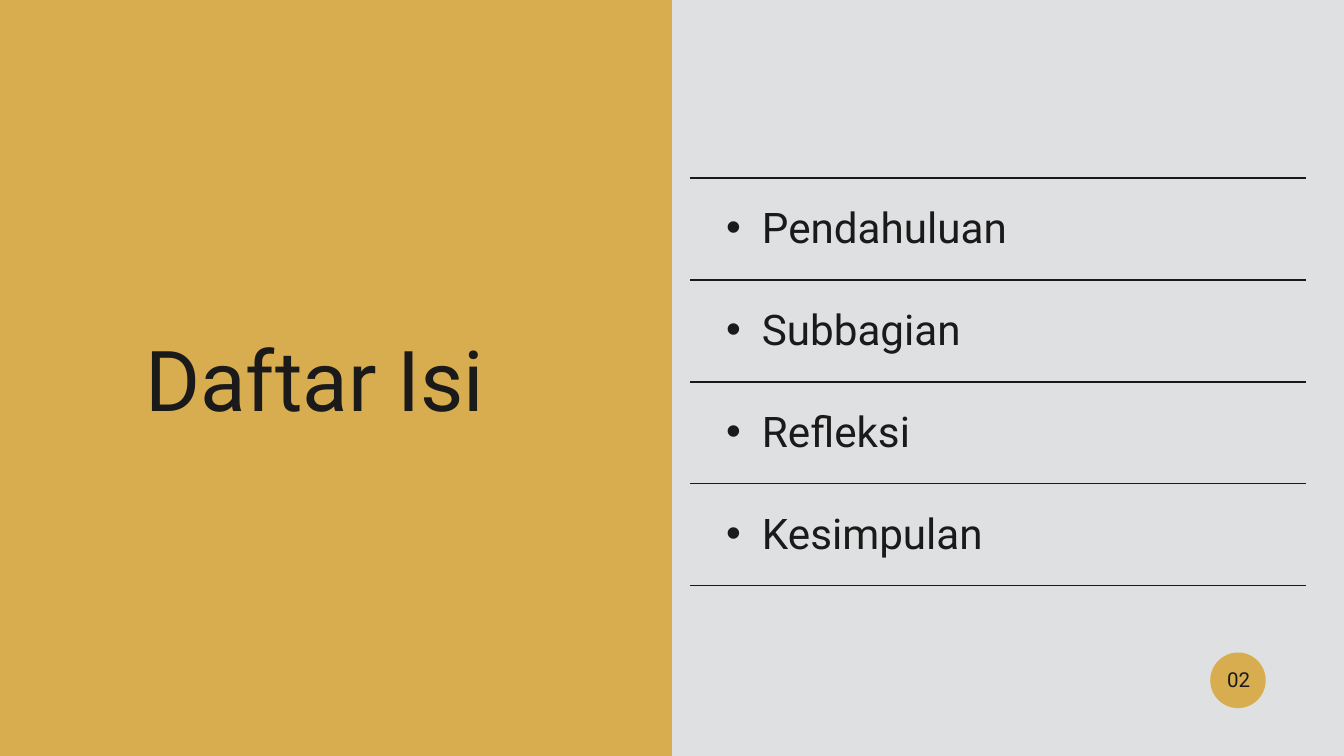
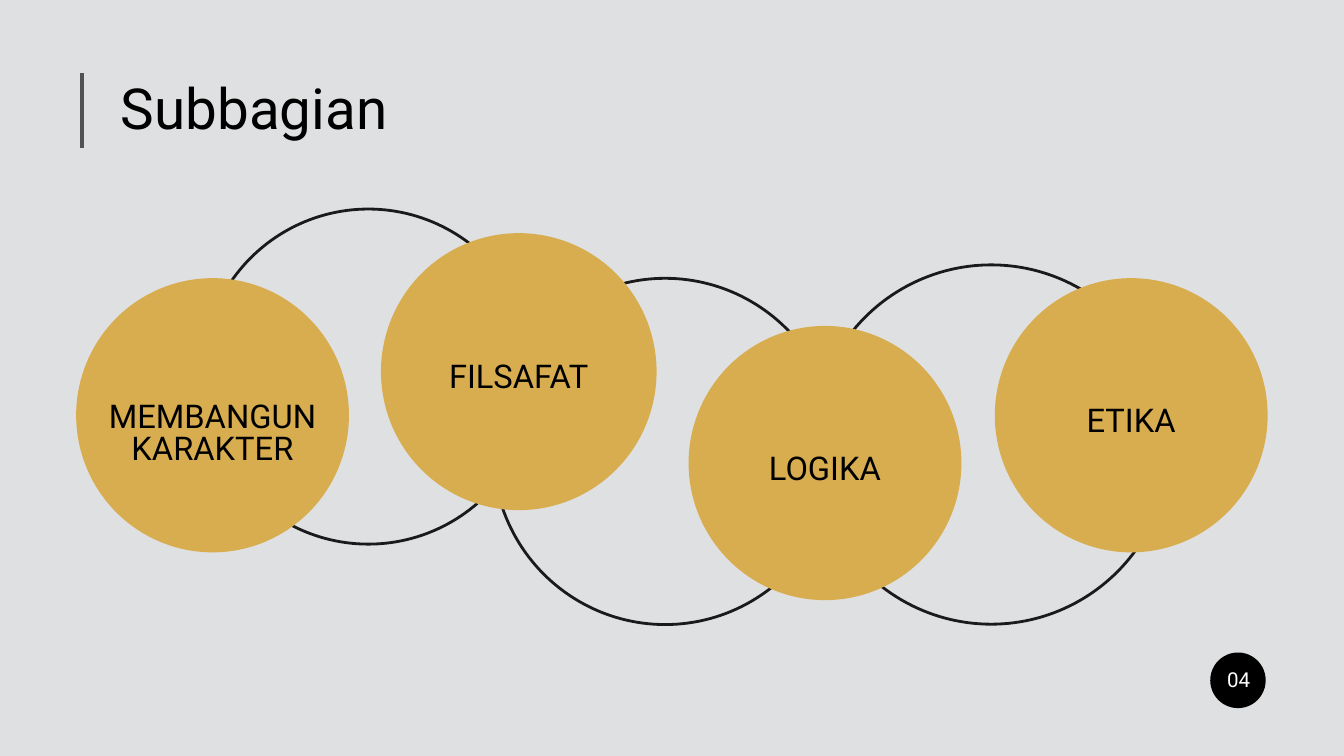
from lxml.etree import SubElement
from pptx import Presentation
from pptx.dml.color import RGBColor
from pptx.enum.shapes import MSO_CONNECTOR, MSO_SHAPE
from pptx.enum.text import MSO_ANCHOR, MSO_AUTO_SIZE, PP_ALIGN
from pptx.oxml.ns import qn
from pptx.util import Pt

CONTENTS = ["Pendahuluan", "Subbagian", "Refleksi", "Kesimpulan"]
# text, top of its circle, distance of the text above the circle's centre
TOPICS = [
    ("MEMBANGUN KARAKTER", 298, 14.3),
    ("FILSAFAT", 251.3, 9.4),
    ("LOGIKA", 349.2, 9.4),
    ("ETIKA", 298, 9.4),
]
# left, top, width, height
RINGS = [
    (216, 224, 357.3, 359),
    (528.3, 298.2, 368.8, 371),
    (870.5, 283.8, 383, 385),
]

FONT = "Roboto"
GOLD = RGBColor(0xD8, 0xAD, 0x50)
GREY = RGBColor(0xDF, 0xE0, 0xE1)
INK = RGBColor(0x1B, 0x1A, 0x1A)
BAR = RGBColor(0x52, 0x52, 0x52)
BLACK = RGBColor(0, 0, 0)
WHITE = RGBColor(0xFF, 0xFF, 0xFF)

WIDTH, HEIGHT = 1440, 810
RULE_LEFT, RULE_RIGHT, RULE_TOP, ROW = 739.4, 1399.7, 190.9, 109.1
CIRCLE_W, CIRCLE_H, CIRCLE_LEFT, CIRCLE_PITCH = 292.3, 293.8, 81.6, 328.1
CAPTION_W = 224


def place(sp, left, top, width, height):
    sp.left, sp.top, sp.width, sp.height = map(Pt, (left, top, width, height))


def write(sp, text, *, size, color=BLACK, align=PP_ALIGN.LEFT, bullet=False):
    tf = sp.text_frame
    tf.margin_left = tf.margin_top = tf.margin_right = tf.margin_bottom = 0
    tf.word_wrap = True
    tf.auto_size = MSO_AUTO_SIZE.NONE
    tf.vertical_anchor = MSO_ANCHOR.TOP
    p = tf.paragraphs[0]
    p.alignment = align
    p.line_spacing = Pt(size)
    r = p.add_run()
    r.text = text
    r.font.name, r.font.size, r.font.color.rgb = FONT, Pt(size), color
    if bullet:
        pPr = p._p.get_or_add_pPr()
        pPr.set("marL", str(Pt(77)))
        pPr.set("indent", str(Pt(-38.4)))
        SubElement(pPr, qn("a:buFont")).set("typeface", "Arial")
        SubElement(pPr, qn("a:buChar")).set("char", "•")


def add_text(s, text, box, **fmt):
    write(s.shapes.add_textbox(*map(Pt, box)), text, **fmt)


def add_title(s, text, box, **fmt):
    place(s.shapes.title, *box)
    write(s.shapes.title, text, **fmt)


def add_shape(s, kind, box, fill=None, line=None):
    sp = s.shapes.add_shape(kind, *map(Pt, box))
    sp.shadow.inherit = False
    if fill is None:
        sp.fill.background()
    else:
        sp.fill.solid()
        sp.fill.fore_color.rgb = fill
    if line is None:
        sp.line.fill.background()
    else:
        sp.line.color.rgb, sp.line.width = line, Pt(3)


def add_line(s, x1, y1, x2, y2, color, width):
    c = s.shapes.add_connector(MSO_CONNECTOR.STRAIGHT, *map(Pt, (x1, y1, x2, y2)))
    c.line.color.rgb, c.line.width = color, Pt(width)
    SubElement(c._element.spPr, qn("a:effectLst"))


def add_page_number(s, number, fill, color):
    add_shape(s, MSO_SHAPE.OVAL, (1296.7, 699.1, 59.4, 59.6), fill)
    add_text(s, number, (1295.3, 718.6, 63.4, 24.5),
             size=22, color=color, align=PP_ALIGN.CENTER)


def build_contents(s):
    add_shape(s, MSO_SHAPE.RECTANGLE, (0, 0, WIDTH / 2, HEIGHT), GOLD)
    # The title placeholder comes first, so lift it above the panel.
    s.shapes._spTree.append(s.shapes.title._element)
    add_title(s, "Daftar Isi", (141.1, 369.4, 392.4, 95),
              size=90, color=INK, align=PP_ALIGN.CENTER)
    for i in range(len(CONTENTS) + 1):
        y = RULE_TOP + i * ROW
        add_line(s, RULE_LEFT, y, RULE_RIGHT, y, INK, 1.5)
    for i, item in enumerate(CONTENTS):
        add_text(s, item, (RULE_LEFT, RULE_TOP + i * ROW + 34.3, 650, 48.2),
                 size=45.2, color=INK, bullet=True)
    add_page_number(s, "02", GOLD, INK)


def build_topics(s):
    add_line(s, 87.8, 158.4, 87.8, 78.5, BAR, 4.5)
    add_title(s, "Subbagian", (129.6, 90, 530, 63.4), size=60.6)
    for ring in RINGS:
        add_shape(s, MSO_SHAPE.OVAL, ring, line=INK)
    for i, (topic, top, lift) in enumerate(TOPICS):
        left = CIRCLE_LEFT + i * CIRCLE_PITCH
        add_shape(s, MSO_SHAPE.OVAL, (left, top, CIRCLE_W, CIRCLE_H), GOLD,
                  line=GOLD if topic == "FILSAFAT" else None)
        add_text(s, topic, (left + (CIRCLE_W - CAPTION_W) / 2,
                            top + CIRCLE_H / 2 - lift, CAPTION_W,
                            70 if " " in topic else 36),
                 size=35, align=PP_ALIGN.CENTER)
    add_page_number(s, "04", BLACK, WHITE)


def main():
    prs = Presentation()
    prs.slide_width, prs.slide_height = Pt(WIDTH), Pt(HEIGHT)
    bg = prs.slide_master.background.fill
    bg.solid()
    bg.fore_color.rgb = GREY
    title_only = prs.slide_layouts[5]
    for build in (build_contents, build_topics):
        build(prs.slides.add_slide(title_only))
    prs.save("out.pptx")


if __name__ == "__main__":
    main()
